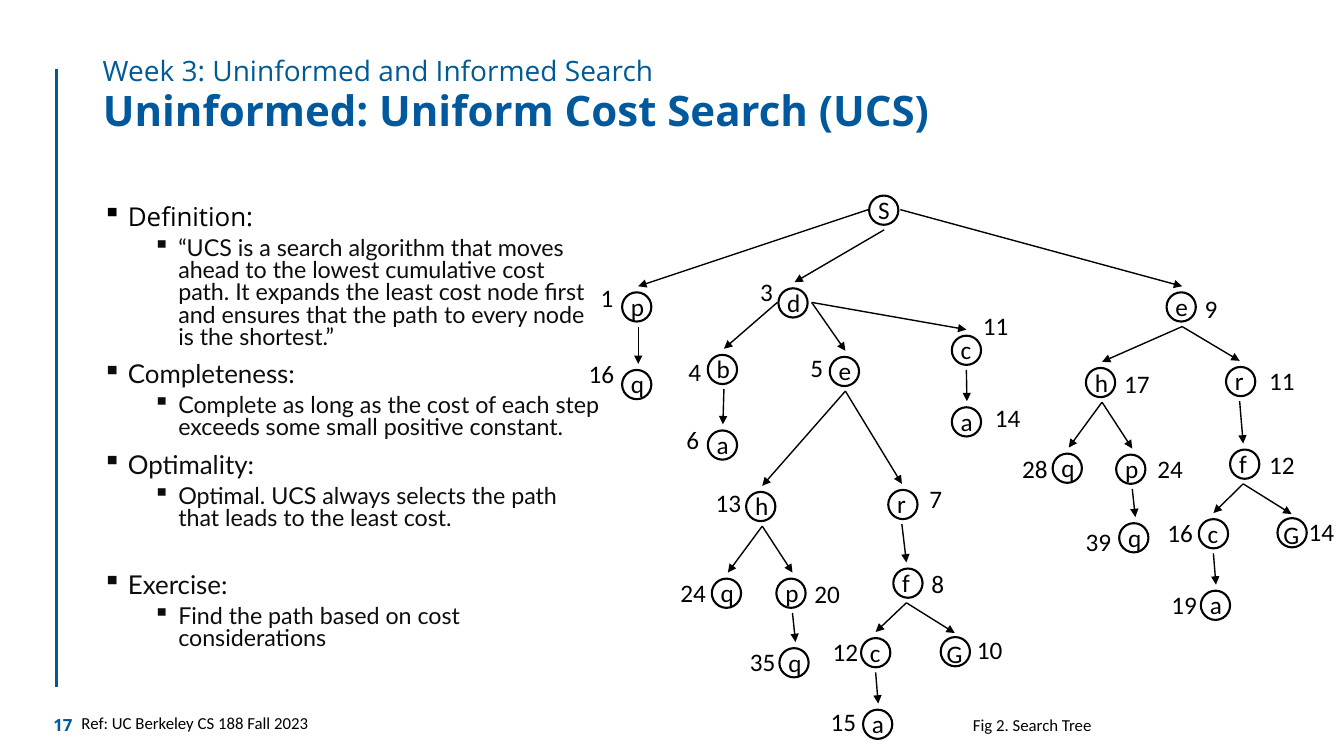
from lxml.etree import SubElement
from pptx import Presentation
from pptx.dml.color import RGBColor as RGB
from pptx.enum.shapes import MSO_CONNECTOR as LINE, MSO_SHAPE as SHAPE
from pptx.enum.text import MSO_ANCHOR as ANCHOR, MSO_AUTO_SIZE as FIT, PP_ALIGN as ALIGN
from pptx.oxml.ns import qn
from pptx.util import Inches, Pt

COLORS = {"blue": "00599C", "week": "005A96", "black": "000000", "soft": "0D0D0D"}
TOP, LEFT, BOTTOM, RIGHT = range(4)

# Each key spells the route from the root: circle x, y, then cost, cost x, y
NODES = {
    "S": (8.62, 1.94, None, 0, 0),
    "Sp": (6.17, 2.9, "1", 5.86, 2.75),
    "Spq": (6.17, 3.67, "16", 5.74, 3.51),
    "Sd": (7.72, 2.86, "3", 7.44, 2.69),
    "Sdb": (7.02, 3.52, "4", 6.73, 3.49),
    "Sdba": (7.02, 4.27, "6", 6.71, 4.16),
    "Sde": (8.23, 3.54, "5", 7.94, 3.45),
    "Sdeh": (7.4, 4.88, "13", 7, 4.79),
    "Sdehq": (7.06, 5.74, "24", 6.65, 5.68),
    "Sdehp": (7.7, 5.74, "20", 7.98, 5.69),
    "Sdehpq": (7.73, 6.43, "35", 7.34, 6.36),
    "Sder": (8.81, 4.86, "7", 9.12, 4.75),
    "Sderf": (8.86, 5.64, "8", 9.14, 5.59),
    "Sderfc": (8.54, 6.33, "12", 8.16, 6.26),
    "Sderfca": (8.56, 7.04, "15", 8.14, 6.96),
    "SderfG": (9.33, 6.32, "10", 9.59, 6.24),
    "Sdc": (9.44, 3.33, "11", 9.65, 3.03),
    "Sdca": (9.44, 4.04, "14", 9.77, 3.94),
    "Se": (11.57, 2.9, "9", 11.85, 2.86),
    "Seh": (10.77, 3.65, "17", 11.05, 3.61),
    "Sehq": (10.44, 4.5, "28", 10.04, 4.45),
    "Sehp": (11.07, 4.51, "24", 11.38, 4.45),
    "Sehpq": (11.1, 5.19, "39", 10.67, 5.17),
    "Ser": (12.16, 3.64, "11", 12.49, 3.58),
    "Serf": (12.2, 4.46, "12", 12.49, 4.41),
    "Serfc": (11.89, 5.15, "16", 11.48, 5.08),
    "Serfca": (11.91, 5.86, "19", 11.52, 5.8),
    "SerfG": (12.67, 5.14, "14", 12.88, 5.07),
}
# Arrows leave the parent at the bottom, except these
EXITS = {"Sp": LEFT, "Se": RIGHT, "Sdb": LEFT, "Sde": RIGHT, "Sdc": RIGHT}
LETTER_WIDTHS = {"S": 0.32, "a": 0.32, "c": 0.31, "e": 0.33, "f": 0.28, "r": 0.29, "G": 0.36}

# Level, space before, text, font, colour
POINTS = [
    (0, 10, "Definition:", "Open Sans", "black"),
    (1, 5, "“UCS is a search algorithm that moves ahead to the lowest cumulative cost path. "
           "It expands the least cost node first and ensures that the path to every node "
           "is the shortest.”", "Lato", "soft"),
    (0, 10, "Completeness:", "Lato", "soft"),
    (1, 5, "Complete as long as the cost of each step exceeds some small positive constant.",
     "Lato", "soft"),
    (0, 10, "Optimality:", "Lato", "soft"),
    (1, 5, "Optimal. UCS always selects the path that leads to the least cost.", "Lato", "soft"),
    (0, 31, "Exercise:", "Lato", "soft"),
    (1, 5, "Find the path based on cost considerations", "Lato", "soft"),
]


class Deck:
    def __init__(self):
        self.prs = Presentation()
        self.prs.slide_width, self.prs.slide_height = Inches(13.33), Inches(7.5)
        self.slide = self.prs.slides.add_slide(self.prs.slide_layouts[5])
        self.shapes = self.slide.shapes

    def run(self, p, text, size, font="Calibri", color="black", bold=False):
        r = p.add_run()
        r.text = text
        r.font.size, r.font.name, r.font.bold = Pt(size), font, bold
        r.font.color.rgb = RGB.from_string(COLORS[color])

    def title(self, box, text):
        s = self.shapes.title
        s.left, s.top, s.width, s.height = map(Inches, box)
        tf = s.text_frame
        tf.auto_size, tf.vertical_anchor = FIT.NONE, ANCHOR.MIDDLE
        p = tf.paragraphs[0]
        p.alignment, p.line_spacing = ALIGN.LEFT, 0.9
        self.run(p, text, 30, "Open Sans", "blue", True)

    def frame(self, box):
        s = self.shapes.add_textbox(*map(Inches, box))
        s.text_frame.word_wrap = True
        return s

    def text(self, box, text, size, *style, anchor=ANCHOR.TOP):
        s = self.frame(box)
        s.text_frame.vertical_anchor = anchor
        self.run(s.text_frame.paragraphs[0], text, size, *style)
        return s

    def label(self, box, text, size=18):
        s = self.text(box, text, size)
        s.text_frame.word_wrap = False
        s.text_frame.auto_size = FIT.SHAPE_TO_FIT_TEXT
        return s

    def bullets(self, box, points):
        tf = self.frame(box).text_frame
        for i, (level, before, text, font, color) in enumerate(points):
            p = tf.add_paragraph() if i else tf.paragraphs[0]
            p.level, p.line_spacing, p.space_before = level, 0.8, Pt(before)
            pPr = p._p.get_or_add_pPr()
            pPr.set("marL", str(Inches(0.25 + 0.5 * level)))
            pPr.set("indent", str(Inches(-0.25)))
            SubElement(pPr, qn("a:buChar")).set("char", "▪")
            self.run(p, text, 16.6 if level else 18.5, font, color)

    def line(self, start, end, color="black", width=1):
        c = self.shapes.add_connector(LINE.STRAIGHT, *map(Inches, start + end))
        c.line.color.rgb, c.line.width = RGB.from_string(COLORS[color]), Pt(width)
        SubElement(c._element.spPr, qn("a:effectLst"))
        return c

    def arrow(self, parent, side, child):
        c = self.line((0, 0), (0, 0))
        c.begin_connect(parent, side)
        c.end_connect(child, TOP)
        ln = c._element.spPr.find(qn("a:ln"))
        SubElement(ln, qn("a:tailEnd")).set("type", "triangle")

    def node(self, letter, x, y):
        s = self.shapes.add_shape(SHAPE.OVAL, *map(Inches, (x, y, 0.29, 0.29)))
        s.shadow.inherit = False
        s.fill.background()
        s.line.color.rgb, s.line.width = RGB.from_string(COLORS["black"]), Pt(1.5)
        dx, dy = (0.04, 0.04) if letter == "G" else (0.01, 0.06)
        return self.label((x - dx, y - dy, LETTER_WIDTHS.get(letter, 0.34), 0.4), letter)


def main():
    deck = Deck()

    # Side rule, headings and page number
    deck.line((0.56, 0.68), (0.56, 6.82), "blue", 2.25)
    deck.title((0.92, 0.73, 11.08, 0.78), "Uninformed: Uniform Cost Search (UCS)")
    week = deck.text((0.92, 0.52, 11.08, 0.55), "Week 3: Uninformed and Informed Search",
                     20, "Open Sans", "week")
    week.text_frame.paragraphs[0].line_spacing = 0.9
    deck.text((0.43, 6.98, 2.82, 0.43), "17", 12, "Open Sans", "blue", True,
              anchor=ANCHOR.MIDDLE)

    # Properties of the search
    deck.bullets((0.92, 2, 5.13, 4.76), POINTS)

    # Search tree: nodes, costs and arrows from each parent
    letters = {}
    for route, (x, y, cost, cost_x, cost_y) in NODES.items():
        letters[route] = deck.node(route[-1], x, y)
        if cost:
            deck.label((cost_x, cost_y, 0.2 + 0.13 * len(cost), 0.4), cost)
            deck.arrow(letters[route[:-1]], EXITS.get(route, BOTTOM), letters[route])

    # Caption and reference
    deck.label((9.55, 7.04, 1.39, 0.3), "Fig 2. Search Tree", 12)
    deck.label((0.71, 7.02, 2.52, 0.3), "Ref: UC Berkeley CS 188 Fall 2023", 12)

    deck.prs.save("out.pptx")


if __name__ == "__main__":
    main()
